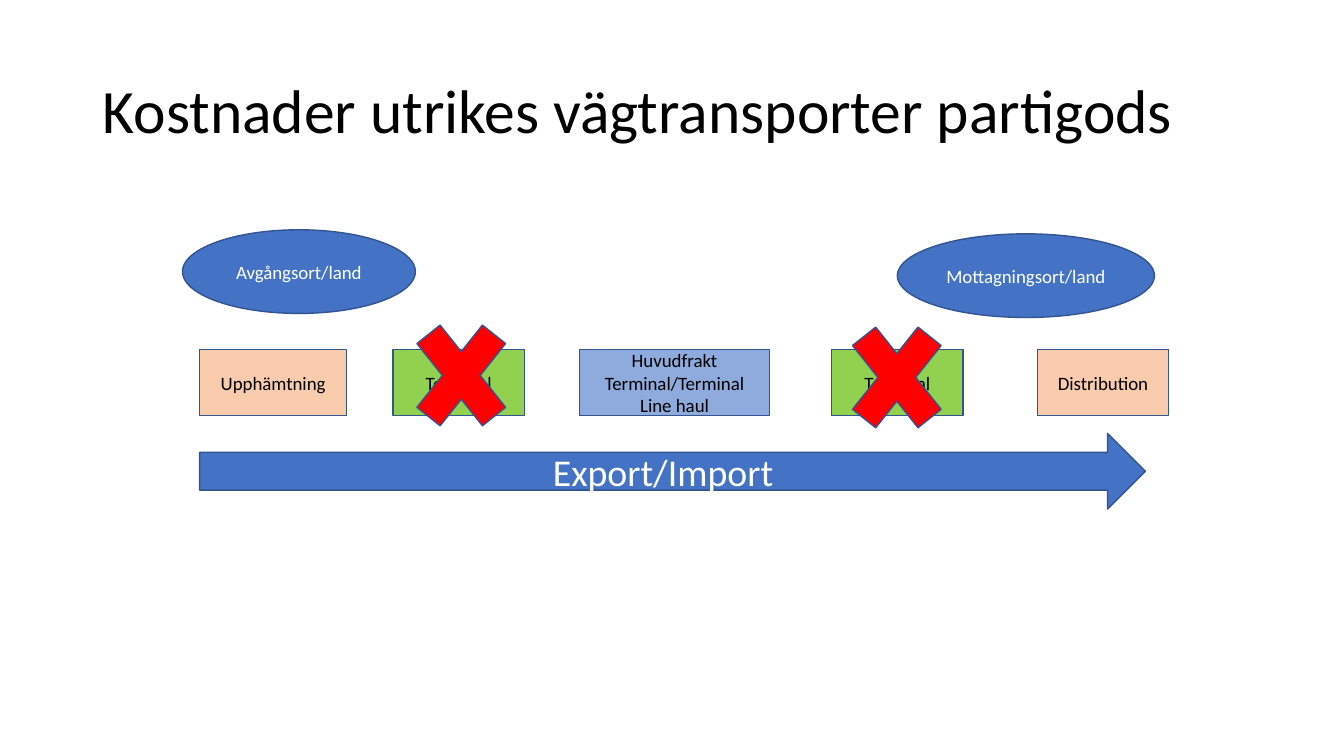
import pptx
import pptx.dml.color
import pptx.enum.shapes
import pptx.enum.text
import pptx.util

Inches = pptx.util.Inches
Kind = pptx.enum.shapes.MSO_SHAPE
Align = pptx.enum.text.PP_ALIGN
FONT = "Calibri"
COLORS = {
    "peach": "F8CBAD",
    "green": "92D050",
    "light_blue": "8FAADC",
    "blue": "4472C4",
    "outline": "325491",
    "red": "FF0000",
    "black": "000000",
    "white": "FFFFFF",
}


def color(name):
    """Return the named colour."""
    return pptx.dml.color.RGBColor.from_string(COLORS[name])


def write(box, lines, size, ink, align):
    """Write one paragraph per line, centred vertically in the box."""
    frame = box.text_frame
    frame.word_wrap = True
    frame.vertical_anchor = pptx.enum.text.MSO_ANCHOR.MIDDLE
    frame.text = "\n".join(lines)
    for para in frame.paragraphs:
        para.alignment = align
        para.font.name = FONT
        para.font.size = pptx.util.Pt(size)
        para.font.color.rgb = color(ink)


def add_figure(page, kind, place, fill, lines=(), size=13.5, ink="black"):
    """Add an outlined preset shape with optional centred text."""
    figure = page.shapes.add_shape(kind, *map(Inches, place))
    figure.shadow.inherit = False
    figure.fill.solid()
    figure.fill.fore_color.rgb = color(fill)
    figure.line.color.rgb = color("outline")
    figure.line.width = pptx.util.Pt(1)
    if lines:
        write(figure, lines, size, ink, Align.CENTER)


def add_title(page, left, top, width, height):
    """Add the slide heading."""
    box = page.shapes.add_textbox(*map(Inches, (left, top, width, height)))
    write(box, ["Kostnader utrikes vägtransporter partigods"], 44, "black", Align.LEFT)
    box.text_frame.paragraphs[0].line_spacing = 0.9


def add_chain(page, left, top, height):
    """Add the row of transport steps."""
    steps = [
        (0, 1.46, "peach", ["Upphämtning"]),
        (1.92, 1.3, "green", ["Terminal"]),
        (3.77, 1.88, "light_blue", ["Huvudfrakt Terminal/Terminal", "Line haul"]),
        (6.27, 1.3, "green", ["Terminal"]),
        (8.31, 1.3, "peach", ["Distribution"]),
    ]
    for offset, width, fill, lines in steps:
        place = (left + offset, top, width, height)
        add_figure(page, Kind.RECTANGLE, place, fill, lines)


def add_direction(page, left, top, width, height):
    """Add the wide arrow under the steps."""
    place = (left, top, width, height)
    add_figure(page, Kind.RIGHT_ARROW, place, "blue", ["Export/Import"], 27, "white")


def add_places(page, left, top, height):
    """Add the ellipses for departure and destination."""
    places = [(0, 0, 2.31, "Avgångsort/land"), (7.09, 0.04, 2.55, "Mottagningsort/land")]
    for across, down, width, label in places:
        place = (left + across, top + down, width, height)
        add_figure(page, Kind.OVAL, place, "blue", [label], ink="white")


def add_crosses(page, left, top, width, height):
    """Cross out both terminals."""
    for across, down in ((0, 0), (4.32, 0.02)):
        place = (left + across, top + down, width, height)
        add_figure(page, Kind.MATH_MULTIPLY, place, "red")


def main():
    """Build and save the slide."""
    deck = pptx.Presentation()
    deck.slide_width = Inches(13.33)
    deck.slide_height = Inches(7.5)
    page = deck.slides.add_slide(deck.slide_layouts[6])
    add_chain(page, 1.98, 3.47, 0.65)
    add_direction(page, 1.98, 4.3, 9.38, 0.75)
    add_places(page, 1.81, 2.28, 0.83)
    add_title(page, 0.92, 0.4, 11.5, 1.45)
    add_crosses(page, 3.95, 2.94, 1.25, 1.57)
    deck.save("out.pptx")


if __name__ == "__main__":
    main()
